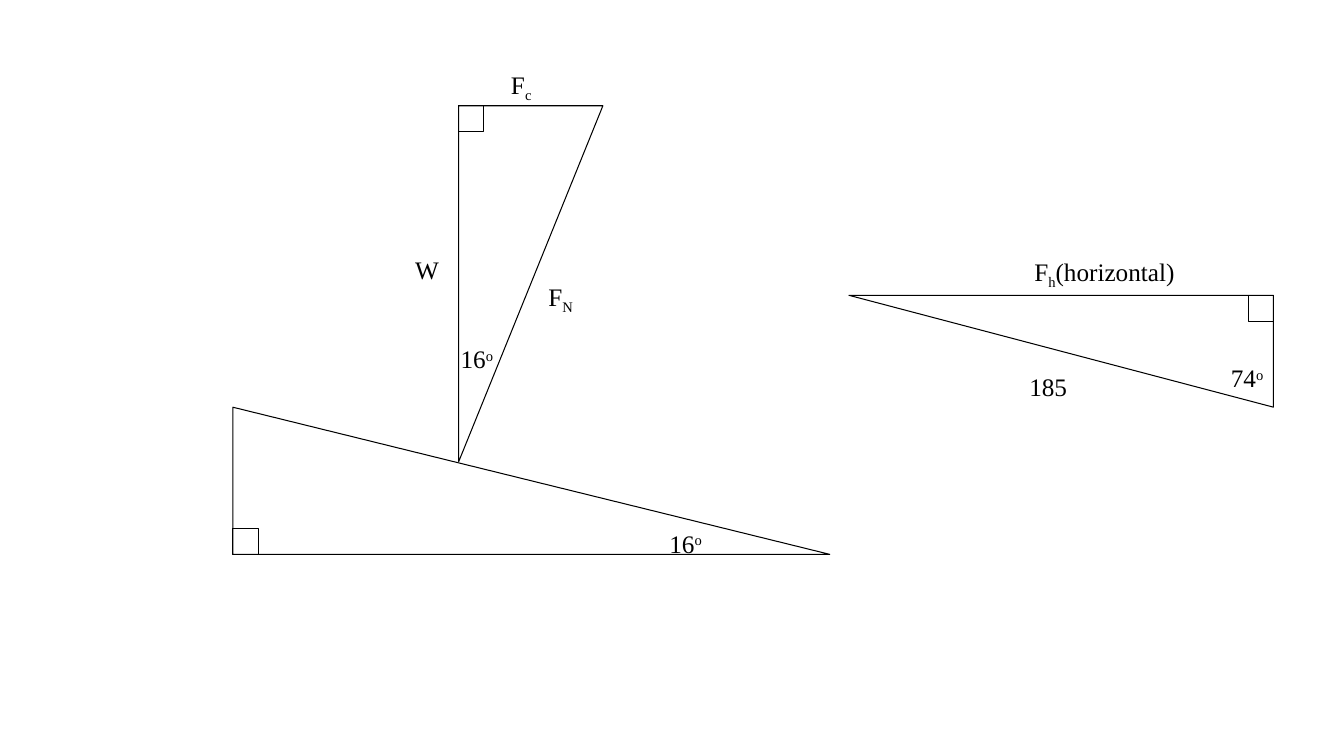
"""Force triangles on a 16 degree incline, with labelled sides and angles."""
from pptx import Presentation
from pptx.dml.color import RGBColor
from pptx.enum.shapes import MSO_SHAPE as SHAPE
from pptx.util import Inches, Pt

INK = "000000"
FONT = "Times New Roman"
MARK_W, MARK_H = 0.25, 0.26
LABEL_H = 0.5
RAISED, LOWERED = 30, -25

TRIANGLES = [
    (2.31, 4.04, 5.92, 1.46, ""),
    (4.55, 1.05, 1.43, 3.53, "V"),
    (8.42, 2.93, 4.21, 1.11, "HV"),
]
LABELS = [
    (6.54, 5.04, 0.6, [("16", 0), ("o", RAISED)]),
    (4.47, 3.21, 0.6, [("16", 0), ("o", RAISED)]),
    (5.34, 2.57, 0.6, [("F", 0), ("N", LOWERED)]),
    (4.97, 0.47, 0.6, [("F", 0), ("c", LOWERED)]),
    (4.02, 2.32, 0.6, [("W", 0)]),
    (12.11, 3.4, 0.6, [("74", 0), ("o", RAISED)]),
    (10.16, 2.32, 1.81, [("F", 0), ("h", LOWERED), ("(horizontal)", 0)]),
    (10.11, 3.48, 0.68, [("185", 0)]),
]


def color(hex_code):
    return RGBColor.from_string(hex_code)


def add_outline(s, kind, x, y, w, h, flips=""):
    sp = s.shapes.add_shape(kind, Inches(x), Inches(y), Inches(w), Inches(h))
    sp.shadow.inherit = False
    sp.fill.background()
    sp.line.color.rgb = color(INK)
    sp.line.width = Pt(0.75)
    for axis in flips:
        sp._element.spPr.xfrm.set("flip" + axis, "1")


def add_triangle(s, x, y, w, h, flips):
    add_outline(s, SHAPE.RIGHT_TRIANGLE, x, y, w, h, flips)
    mark_x = x + w - MARK_W if "H" in flips else x
    mark_y = y if "V" in flips else y + h - MARK_H
    add_outline(s, SHAPE.RECTANGLE, mark_x, mark_y, MARK_W, MARK_H)


def add_label(s, x, y, w, parts):
    box = s.shapes.add_textbox(Inches(x), Inches(y), Inches(w), Inches(LABEL_H))
    tf = box.text_frame
    tf.word_wrap = True
    p = tf.paragraphs[0]
    p.line_spacing = 1.5
    for text, baseline in parts:
        r = p.add_run()
        r.text = text
        r.font.name = FONT
        r.font.size = Pt(18)
        r.font.color.rgb = color(INK)
        if baseline:
            r.font._element.set("baseline", str(baseline * 1000))


def main():
    prs = Presentation()
    prs.slide_width, prs.slide_height = Inches(13.33), Inches(7.5)
    s = prs.slides.add_slide(prs.slide_layouts[6])
    for triangle in TRIANGLES:
        add_triangle(s, *triangle)
    for label in LABELS:
        add_label(s, *label)
    prs.save("out.pptx")


if __name__ == "__main__":
    main()
